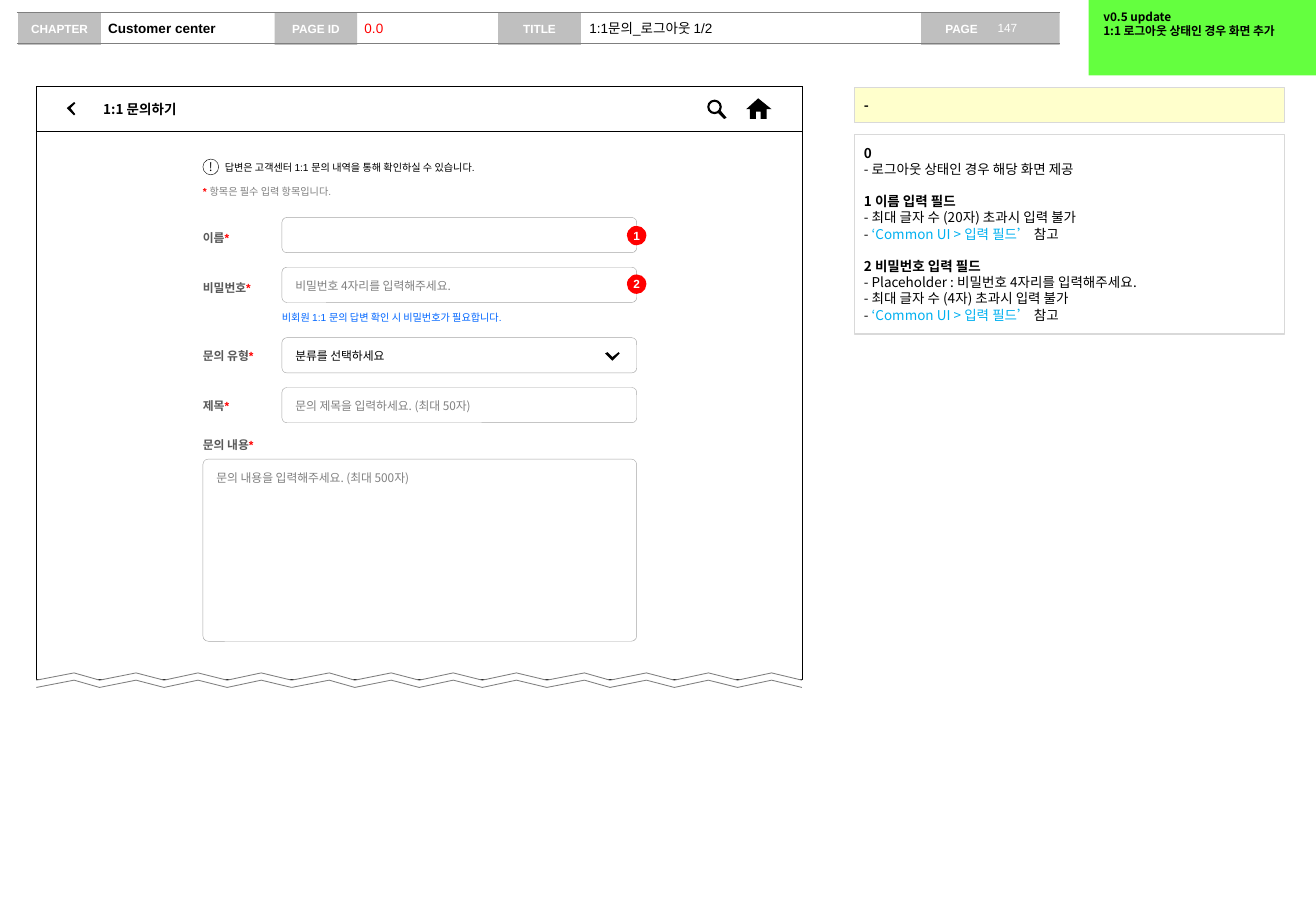
import pptx
import pptx.util
from pptx.dml.color import RGBColor
from pptx.enum.shapes import MSO_CONNECTOR, MSO_SHAPE
from pptx.enum.text import MSO_ANCHOR, MSO_AUTO_SIZE, PP_ALIGN
from lxml import etree

Inches, Pt = pptx.util.Inches, pptx.util.Pt
BLACK, WHITE = RGBColor(0, 0, 0), RGBColor(255, 255, 255)
RED, BLUE, SKY = RGBColor(255, 0, 0), RGBColor(0, 102, 255), RGBColor(0, 176, 240)
TAB, RULE, EDGE = RGBColor(191, 191, 191), RGBColor(127, 127, 127), RGBColor(166, 166, 166)
PALE, HINT, DARK = RGBColor(217, 217, 217), RGBColor(128, 128, 128), RGBColor(89, 89, 89)
CREAM, GREEN = RGBColor(255, 255, 204), RGBColor(100, 255, 63)
ARIAL, NOTO = "Arial", "Noto Sans CJK KR"
RECT, ROUND, OVAL = MSO_SHAPE.RECTANGLE, MSO_SHAPE.ROUNDED_RECTANGLE, MSO_SHAPE.OVAL
LEFT, CENTER = PP_ALIGN.LEFT, PP_ALIGN.CENTER
TOP, MIDDLE = MSO_ANCHOR.TOP, MSO_ANCHOR.MIDDLE

# Content: a run is (text, colour, bold)
CHAPTER = "Customer center"
TABS = [("CHAPTER", 0.15), ("PAGE ID", 2.26), ("TITLE", 4.1)]
VALUES = [("1:1문의_로그아웃 1/2", 4.79, 2.8, BLACK), ("0.0", 2.94, 1.16, RED)]
UPDATE = [[("v0.5 update", BLACK, True)], [("1:1 로그아웃 상태인 경우 화면 추가", BLACK, True)]]
LINK = [("- ", BLACK, False), ("‘Common UI > 입력 필드’", SKY, False), (" 참고", BLACK, False)]
NOTES = [
    ("0", [[("- 로그아웃 상태인 경우 해당 화면 제공", BLACK, False)]]),
    ("1 이름 입력 필드", [[("- 최대 글자 수 (20자) 초과시 입력 불가", BLACK, False)], LINK]),
    ("2 비밀번호 입력 필드", [[("- Placeholder : 비밀번호 4자리를 입력해주세요.", BLACK, False)],
                      [("- 최대 글자 수 (4자) 초과시 입력 불가", BLACK, False)], LINK]),
]
# label, label top, field (left, top, width, height), hint, colour, anchor
FIELDS = [
    ("이름", 1.9, (2.32, 1.79, 2.92, 0.29), "", HINT, TOP),
    ("비밀번호", 2.31, (2.32, 2.2, 2.92, 0.29), "비밀번호 4자리를 입력해주세요.", HINT, TOP),
    ("문의 유형", 2.87, (2.32, 2.78, 2.92, 0.29), "분류를 선택하세요", BLACK, MIDDLE),
    ("제목", 3.28, (2.32, 3.19, 2.92, 0.29), "문의 제목을 입력하세요. (최대 50자)", HINT, TOP),
    ("문의 내용", 3.6, (1.67, 3.78, 3.57, 1.5), "문의 내용을 입력해주세요. (최대 500자)", HINT, TOP),
]
BADGES = [("1", 1.86), ("2", 2.26)]
ICONS = [
    [(0.62, 0.85), (0.61, 0.84), (0.55, 0.89), (0.61, 0.95), (0.62, 0.94), (0.58, 0.89)],
    [(5.09, 2.9), (5.04, 2.94), (5, 2.9), (4.98, 2.91), (5.04, 2.97), (5.1, 2.91)],
    [(6.22, 0.98), (6.22, 0.92), (6.26, 0.92), (6.26, 0.98), (6.31, 0.98), (6.31, 0.9),
     (6.35, 0.9), (6.24, 0.81), (6.14, 0.9), (6.17, 0.9), (6.17, 0.98)],
    [(5.91, 0.93), (5.93, 0.91), (5.98, 0.97), (5.96, 0.98)],
]
WAVE = [0, 0.31, 0.52, 0.82, 1.05, 1.33, 1.57, 1.85, 2.1]
WAVES = [0.3, 2.4, 4.5]

deck = pptx.Presentation()
deck.slide_width, deck.slide_height = Inches(10.83), Inches(7.5)
slide = deck.slides.add_slide(deck.slide_layouts[5])
shapes = slide.shapes


def write(shape, paras, size, face=ARIAL, ins=(0, 0, 0, 0), anchor=MIDDLE,
          align=LEFT, wrap=True, lead=1.2, gaps=()):
    """Fill a shape with paragraphs; those numbered in gaps get a line of space above."""
    frame = shape.text_frame
    form = dict(zip(("margin_left", "margin_top", "margin_right", "margin_bottom"), map(Inches, ins)))
    form.update(word_wrap=wrap, auto_size=MSO_AUTO_SIZE.NONE, vertical_anchor=anchor)
    for key, value in form.items():
        setattr(frame, key, value)
    for i, runs in enumerate(paras):
        para = frame.add_paragraph() if i else frame.paragraphs[0]
        above = Pt(size * lead) if i in gaps else Pt(0)
        for key, value in dict(alignment=align, line_spacing=Pt(round(size * lead, 1)),
                               space_before=above).items():
            setattr(para, key, value)
        for text, color, bold in runs:
            run = para.add_run()
            run.text = text
            for key, value in dict(name=face, size=Pt(size), bold=bold).items():
                setattr(run.font, key, value)
            run.font.color.rgb = color
            asian = etree.SubElement(run.font._element, pptx.oxml.ns.qn("a:ea"))
            asian.set("typeface", NOTO)


def paint(shape, fill=None, line=None, width=0.25):
    shape.shadow.inherit = False
    if fill is None:
        shape.fill.background()
    else:
        shape.fill.solid()
        shape.fill.fore_color.rgb = fill
    if line is None:
        shape.line.fill.background()
    else:
        shape.line.color.rgb = line
        shape.line.width = Pt(width)
    return shape


def draw(kind, at, fill=None, line=None, width=0.25):
    return paint(shapes.add_shape(kind, *map(Inches, at)), fill, line, width)


def label(at, runs, size, **form):
    write(shapes.add_textbox(*map(Inches, at)), [runs], size, **form)


def trace(points, closed=True, **look):
    dots = [(Inches(x), Inches(y)) for x, y in points]
    pen = shapes.build_freeform(*dots[0])
    pen.add_line_segments(dots[1:], close=closed)
    paint(pen.convert_to_shape(), **look)


# Page header
SIDE = (0.06, 0.05, 0, 0.05)
title = shapes.title
title.left, title.top, title.width, title.height = map(Inches, (0.83, 0.11, 1.43, 0.24))
write(title, [[(CHAPTER, BLACK, True)]], 8, ins=SIDE)
for name, x in TABS:
    write(draw(RECT, (x, 0.1, 0.68, 0.27), TAB), [[(name, WHITE, True)]], 7, align=CENTER, wrap=False)
page = draw(RECT, (7.58, 0.1, 1.14, 0.27), TAB)
write(page, [[("PAGE", WHITE, True)]], 7, ins=(0.2, 0.05, 0.1, 0.05))
label((8.17, 0.12, 0.55, 0.22), [("147", WHITE, False)], 7, ins=(0.04, 0.05, 0, 0.05))
for y in (0.1, 0.36):
    rule = shapes.add_connector(MSO_CONNECTOR.STRAIGHT, Inches(0.14), Inches(y), Inches(8.72), Inches(y))
    rule.line.color.rgb, rule.line.width = RULE, Pt(0.75)
    etree.SubElement(rule._element.spPr, pptx.oxml.ns.qn("a:effectLst"))
for text, x, w, color in VALUES:
    label((x, 0.11, w, 0.24), [(text, color, False)], 8, ins=SIDE)
write(draw(RECT, (8.96, 0, 1.87, 0.62), GREEN), UPDATE, 7, NOTO, (0.12, 0.08, 0.1, 0.05), TOP)

# Description column
PAD = (0.08,) * 4
memo = draw(RECT, (7.03, 0.72, 3.54, 0.29), CREAM, PALE, 0.75)
write(memo, [[("-", BLACK, True)]], 8, NOTO, PAD, TOP)
lines, gaps = [], []
for head, body in NOTES:
    if lines:
        gaps.append(len(lines))
    lines += [[(head, BLACK, True)]] + body
write(draw(RECT, (7.03, 1.11, 3.54, 1.64), None, PALE, 0.75), lines, 8, NOTO, PAD, TOP, gaps=gaps)

# Screen frame and its title bar
draw(RECT, (0.3, 0.71, 6.3, 4.88), None, BLACK)
bar = draw(RECT, (0.3, 0.71, 6.3, 0.37), WHITE, BLACK)
write(bar, [[("1:1 문의하기", BLACK, True)]], 8, NOTO, (0.55, 0.05, 0.1, 0.05))

# Guide lines
mark = draw(OVAL, (1.67, 1.31, 0.13, 0.13), WHITE, BLACK)
write(mark, [[("!", BLACK, False)]], 7, NOTO, align=CENTER, wrap=False)
label((1.85, 1.33, 2.3, 0.1), [("답변은 고객센터 1:1 문의 내역을 통해 확인하실 수 있습니다.", BLACK, False)], 6)
label((1.67, 1.53, 1.18, 0.1), [("* ", RED, True), ("항목은 필수 입력 항목입니다.", HINT, False)], 6)
label((2.32, 2.56, 2.92, 0.1), [("비회원 1:1 문의 답변 확인 시 비밀번호가 필요합니다.", BLUE, False)], 6)

# Form
for name, y, at, hint, color, anchor in FIELDS:
    field = draw(ROUND, at, None, EDGE)
    field.adjustments[0] = round(0.04 / at[3], 2)
    if hint:
        write(field, [[(hint, color, False)]], 7, NOTO, (0.1, 0.05, 0.1, 0.05), anchor,
              lead=1.56 if anchor == TOP else 1.2)
    label((1.67, y, 0.52, 0.12), [(name, DARK, True), ("*", RED, True)], 7)
for text, y in BADGES:
    badge = draw(OVAL, (5.16, y, 0.16, 0.16), RED)
    write(badge, [[(text, WHITE, True)]], 7, align=CENTER, wrap=False)

# Torn lower edge
for x in WAVES:
    upper, lower = ([(x + dx, y - 0.06 * (i % 2)) for i, dx in enumerate(WAVE)] for y in (5.6, 5.66))
    trace(upper + lower[::-1], fill=WHITE)
    for edge in (upper, lower):
        trace(edge, closed=False, line=HINT, width=0.5)

# Icons
for points in ICONS:
    trace(points, fill=BLACK)
lens = draw(MSO_SHAPE.DONUT, (5.82, 0.82, 0.12, 0.12), BLACK)
lens.adjustments[0] = 0.15

deck.save("out.pptx")
